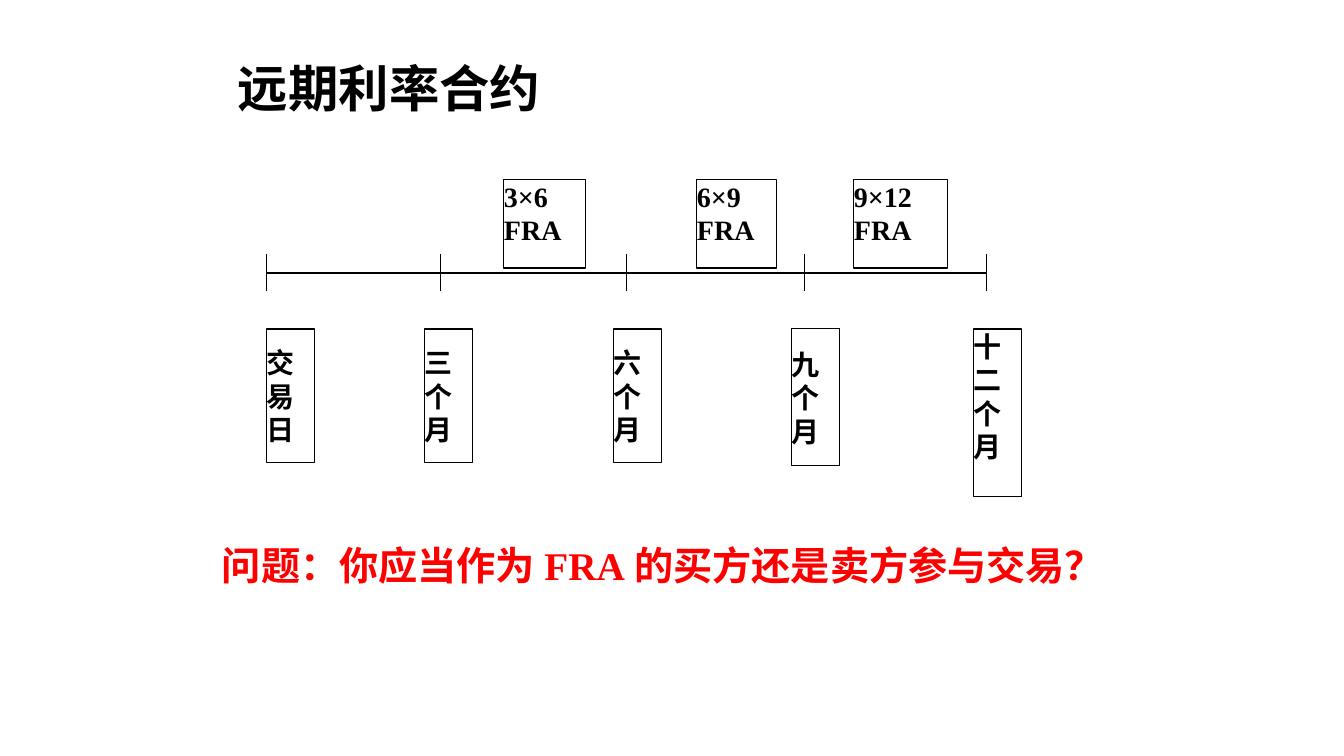
"""Build the forward rate agreement timeline slide."""
import pptx
import pptx.util
import pptx.dml.color
import pptx.enum.shapes
import pptx.enum.text
import pptx.oxml.ns
import lxml.etree

TITLE = ("远期利率合约",)
QUESTION = ("问题：你应当作为", "FRA", "的买方还是卖方参与交易？")
DATES = [
    ("交易日", 267, 267, 134),
    ("三个月", 441, 425, 134),
    ("六个月", 627, 614, 134),
    ("九个月", 805, 792, 137),
    ("十二个月", 987, 974, 168),
]
CONTRACTS = [("3×6", 504, 82), ("6×9", 697, 80), ("9×12", 854, 94)]

THEME = {
    "ink": pptx.dml.color.RGBColor(0, 0, 0),
    "accent": pptx.dml.color.RGBColor(255, 0, 0),
    "cjk": "Noto Sans CJK SC",
    "latin": "Times New Roman",
    "title": 36, "question": 28, "label": 20, "leading": 24, "line": 0.75,
}
AXIS_Y, TICK_TOP, TICK_BOTTOM = 273, 254, 291
DATE_TOP, DATE_WIDTH = 329, 48
CONTRACT_TOP, CONTRACT_HEIGHT = 179, 89
ANCHOR = pptx.enum.text.MSO_ANCHOR


def px(n):
    return round(n * 914400 / 100.8)


def style(font, size, color, latin):
    font.size, font.bold, font.name = pptx.util.Pt(size), True, latin
    font.color.rgb = color


def add_run(p, text):
    r = p.add_run()
    r.text = text
    ea = lxml.etree.SubElement(r._r.get_or_add_rPr(), pptx.oxml.ns.qn("a:ea"))
    ea.set("typeface", THEME["cjk"])
    return r


def add_line(s, x1, y1, x2, y2):
    kind = pptx.enum.shapes.MSO_CONNECTOR.STRAIGHT
    sp = s.shapes.add_connector(kind, px(x1), px(y1), px(x2), px(y2))
    sp.line.color.rgb = THEME["ink"]
    sp.line.width = pptx.util.Pt(THEME["line"])
    lxml.etree.SubElement(sp._element.spPr, pptx.oxml.ns.qn("a:effectLst"))


def add_box(s, x, y, w, h, lines, anchor):
    kind = pptx.enum.shapes.MSO_SHAPE.RECTANGLE
    sp = s.shapes.add_shape(kind, px(x), px(y), px(w), px(h))
    sp.shadow.inherit = False
    sp.fill.background()
    sp.line.color.rgb = THEME["ink"]
    sp.line.width = pptx.util.Pt(THEME["line"])
    tf = sp.text_frame
    tf.word_wrap, tf.vertical_anchor = True, anchor
    tf.margin_left = tf.margin_right = tf.margin_top = tf.margin_bottom = 0
    for i, text in enumerate(lines):
        p = tf.add_paragraph() if i else tf.paragraphs[0]
        p.alignment = pptx.enum.text.PP_ALIGN.LEFT
        p.line_spacing = pptx.util.Pt(THEME["leading"])
        style(p.font, THEME["label"], THEME["ink"], THEME["latin"])
        r = add_run(p, text)
        style(r.font, THEME["label"], THEME["ink"], THEME["latin"])


def add_text(s, x, y, w, h, runs, size, color):
    tf = s.shapes.add_textbox(px(x), px(y), px(w), px(h)).text_frame
    tf.word_wrap = True
    for text in runs:
        r = add_run(tf.paragraphs[0], text)
        latin = THEME["latin"] if text.isascii() else THEME["cjk"]
        style(r.font, size, color, latin)


def main():
    prs = pptx.Presentation()
    prs.slide_width, prs.slide_height = px(1344), px(756)
    s = prs.slides.add_slide(prs.slide_layouts[6])
    add_line(s, DATES[0][1], AXIS_Y, DATES[-1][1], AXIS_Y)
    for text, tick, left, height in DATES:
        add_line(s, tick, TICK_TOP, tick, TICK_BOTTOM)
        anchor = ANCHOR.MIDDLE if len(text) == 3 else ANCHOR.TOP
        add_box(s, left, DATE_TOP, DATE_WIDTH, height, [text], anchor)
    for term, left, width in CONTRACTS:
        add_box(s, left, CONTRACT_TOP, width, CONTRACT_HEIGHT,
                [term, "FRA"], ANCHOR.TOP)
    add_text(s, 228, 52, 834, 72, TITLE, THEME["title"], THEME["ink"])
    add_text(s, 212, 536, 905, 57, QUESTION, THEME["question"], THEME["accent"])
    prs.save("out.pptx")


if __name__ == "__main__":
    main()
